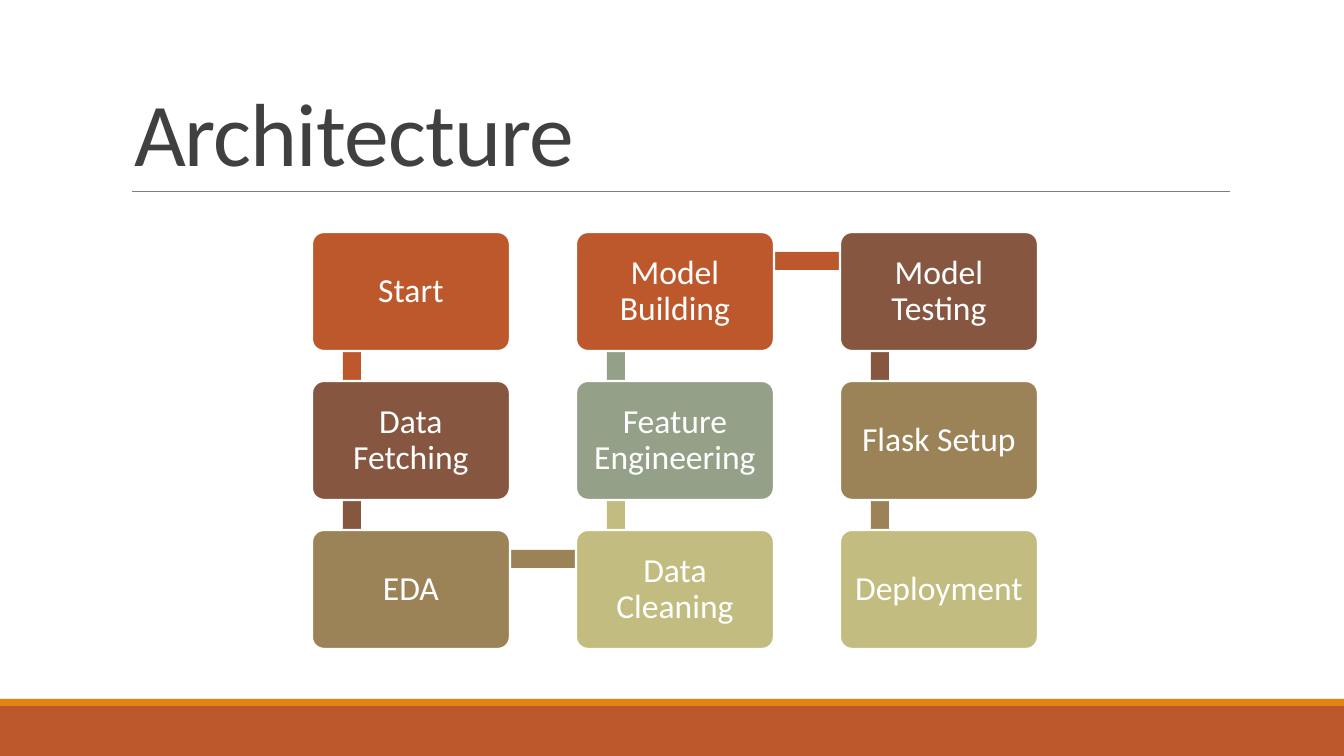
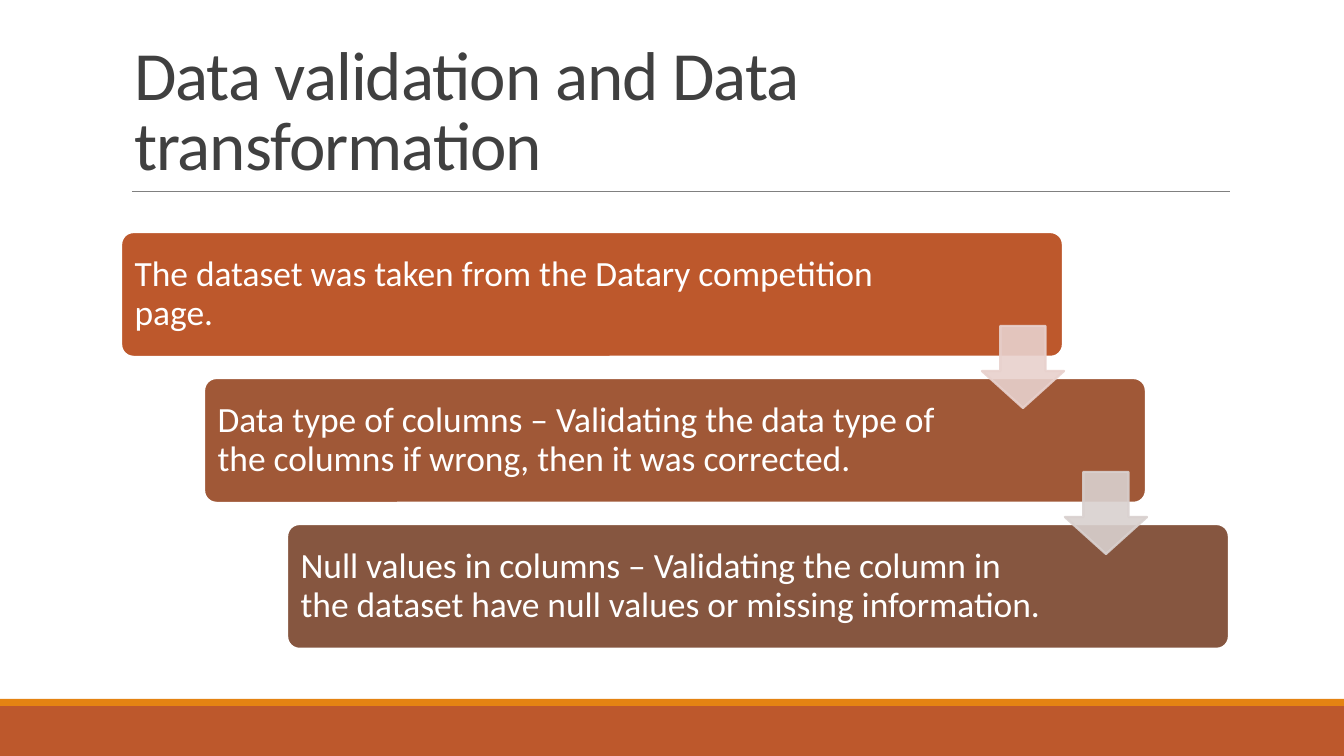
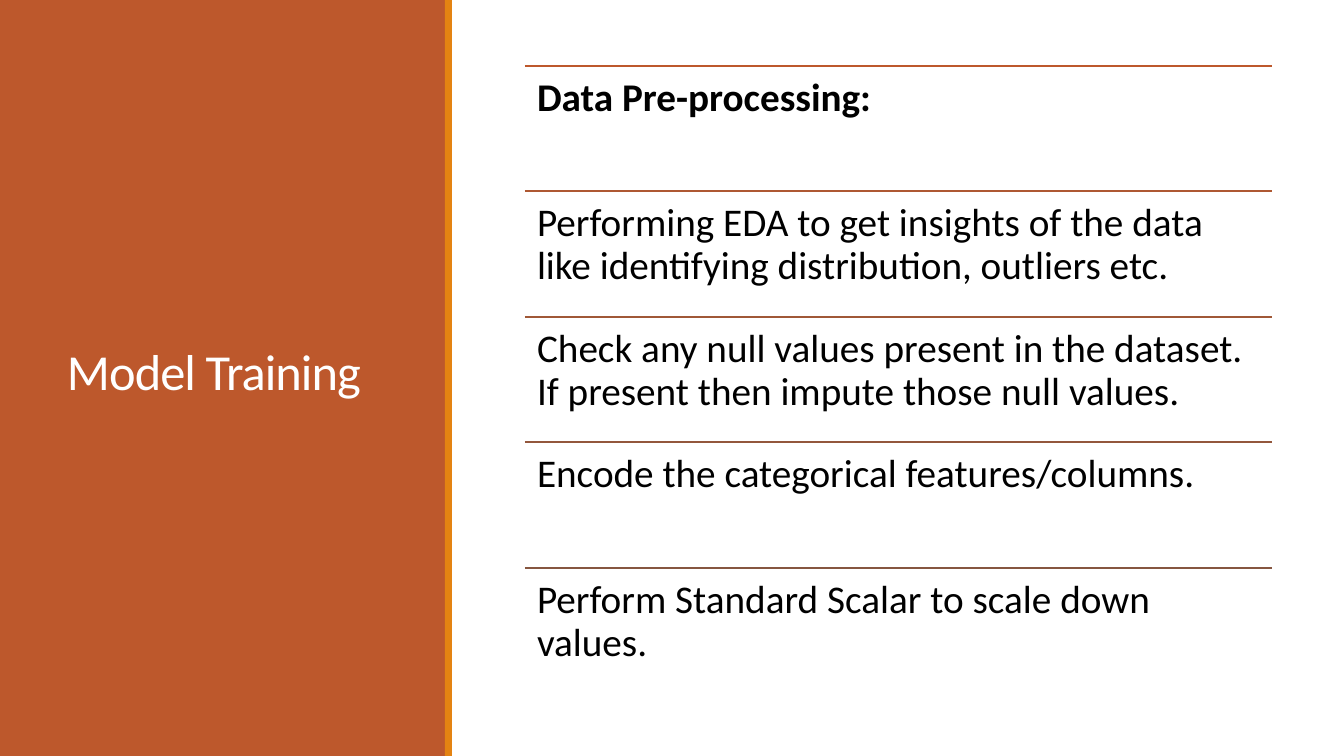
from lxml.etree import SubElement
from pptx import Presentation
from pptx.dml.color import RGBColor
from pptx.enum.shapes import MSO_CONNECTOR, MSO_SHAPE
from pptx.enum.text import MSO_ANCHOR, PP_ALIGN
from pptx.oxml.ns import qn
from pptx.util import Emu, Pt

W, H = 1344, 756
COLORS = {
    "white": "FFFFFF",
    "black": "000000",
    "title": "404040",
    "rule": "808080",
    "amber": "E48312",
    "rust": "BD582C",
    "rust2": "AE5832",
    "sienna": "A05837",
    "umber": "93573C",
    "brown": "865640",
    "khaki": "9B8357",
    "olive": "C2BC80",
    "sage": "94A088",
    "pink": "E8D1CD",
    "grey": "D9D1CF",
}


def px(n):
    return Emu(round(n * 9144000 / W))


def rgb(name):
    return RGBColor.from_string(COLORS[name])


def write_text(tf, text, size=18, color="white", bold=False, align=PP_ALIGN.LEFT,
               anchor=MSO_ANCHOR.MIDDLE, spacing=0.9, insets=(8, 8, 8, 8), track=0):
    tf.word_wrap = True
    tf.vertical_anchor = anchor
    tf.margin_left, tf.margin_top, tf.margin_right, tf.margin_bottom = map(px, insets)
    p = tf.paragraphs[0]
    p.alignment = align
    p.line_spacing = spacing
    r = p.add_run()
    r.text = text
    r.font.name = "Calibri"
    r.font.size = Pt(size)
    r.font.bold = bold
    r.font.color.rgb = rgb(color)
    if track:
        r._r.get_or_add_rPr().set("spc", str(track))


class Deck:
    def __init__(self):
        self.prs = Presentation()
        self.prs.slide_width, self.prs.slide_height = px(W), px(H)
        self.s = None

    def slide(self):
        self.s = self.prs.slides.add_slide(self.prs.slide_layouts[6])

    def shape(self, kind, x, y, w, h, fill, line=None, adjust=(), alpha=None):
        sp = self.s.shapes.add_shape(kind, px(x), px(y), px(w), px(h))
        sp.shadow.inherit = False
        sp.fill.solid()
        sp.fill.fore_color.rgb = rgb(fill)
        if line:
            sp.line.color.rgb = rgb(line)
            sp.line.width = Pt(1.25)
        else:
            sp.line.fill.background()
        for i, value in enumerate(adjust):
            sp.adjustments[i] = value
        if alpha:
            for clr in sp._element.spPr.iter(qn("a:srgbClr")):
                SubElement(clr, qn("a:alpha")).set("val", str(alpha * 1000))
        return sp

    def rect(self, x, y, w, h, fill):
        self.shape(MSO_SHAPE.RECTANGLE, x, y, w, h, fill)

    def card(self, x, y, w, h, fill, text, **fmt):
        sp = self.shape(MSO_SHAPE.ROUNDED_RECTANGLE, x, y, w, h, fill, "white", (0.1,))
        write_text(sp.text_frame, text, **fmt)

    def arrow(self, x, y, size, color):
        self.shape(MSO_SHAPE.DOWN_ARROW, x, y, size, size, color, color, (0.55, 0.45), 90)

    def rule(self, x, y, w, color, width=1.25):
        c = self.s.shapes.add_connector(MSO_CONNECTOR.STRAIGHT, px(x), px(y), px(x + w), px(y))
        c.line.color.rgb = rgb(color)
        c.line.width = Pt(width)
        SubElement(c._element.spPr, qn("a:effectLst"))

    def text(self, x, y, w, h, text, **fmt):
        tb = self.s.shapes.add_textbox(px(x), px(y), px(w), px(h))
        write_text(tb.text_frame, text, **fmt)

    def title(self, x, y, w, h, text, **fmt):
        self.text(x, y, w, h, text, spacing=0.85, track=-50, insets=(13, 7, 13, 7), **fmt)

    def content_slide(self, title, size):
        self.slide()
        self.rect(0, 706, W, 50, "rust")
        self.rect(0, 699, W, 7, "amber")
        self.rule(132, 192, 1098, "rule", 0.5)
        self.title(121, 32, 1109, 160, title, size=size, color="title", anchor=MSO_ANCHOR.BOTTOM)


def architecture(deck):
    deck.content_slide("Architecture", 48)
    steps = [
        ("Start", "rust", 0, 0),
        ("Data Fetching", "brown", 0, 1),
        ("EDA", "khaki", 0, 2),
        ("Data Cleaning", "olive", 1, 2),
        ("Feature Engineering", "sage", 1, 1),
        ("Model Building", "rust", 1, 0),
        ("Model Testing", "brown", 2, 0),
        ("Flask Setup", "khaki", 2, 1),
        ("Deployment", "olive", 2, 2),
    ]
    spots = [(312 + 264 * col, 232 + 149 * row) for _, _, col, row in steps]
    for i, (name, color, _, _) in enumerate(steps):
        x, y = spots[i]
        if i + 1 < len(steps):
            next_x, next_y = spots[i + 1]
            w = max(abs(next_x - x), 18)
            h = max(abs(next_y - y), 18)
            deck.rect((x + next_x - w) // 2 + 40, (y + next_y - h) // 2 + 29, w, h, color)
        deck.card(x, y, 198, 119, color, name, align=PP_ALIGN.CENTER)


def validation(deck):
    deck.content_slide("Data validation and Data transformation", 37)
    checks = [
        ("The dataset was taken from the Datary competition page.", "rust"),
        ("Data type of columns – Validating the data type of the columns if wrong, "
         "then it was corrected.", "sienna"),
        ("Null values in columns – Validating the column in the dataset have null values "
         "or missing information.", "brown"),
    ]
    for i, (check, color) in enumerate(checks):
        deck.card(121 + 83 * i, 232 + 146 * i, 942, 125, color, check,
                  size=19, insets=(10, 10, 182, 10))
    for i, color in enumerate(("pink", "grey")):
        deck.arrow(982 + 83 * i, 326 + 146 * i, 82, color)


def training(deck):
    deck.slide()
    deck.rect(0, 0, 446, H, "rust")
    deck.title(54, 57, 340, 636, "Model Training", size=27)
    deck.rect(445, 0, 7, H, "amber")
    rows = [
        ("Data Pre-processing:", "rust"),
        ("Performing EDA to get insights of the data like identifying distribution, "
         "outliers etc.", "rust2"),
        ("Check any null values present in the dataset. If present then impute those "
         "null values.", "sienna"),
        ("Encode the categorical features/columns.", "umber"),
        ("Perform Standard Scalar to scale down values.", "brown"),
    ]
    for i, (row, color) in enumerate(rows):
        y = 66 + 251 * i // 2
        deck.rule(525, y, 747, color)
        deck.text(525, y, 747, 125, row, size=21, color="black", bold=i == 0,
                  anchor=MSO_ANCHOR.TOP, insets=(12, 12, 12, 12))


def main():
    deck = Deck()
    architecture(deck)
    validation(deck)
    training(deck)
    deck.prs.save("out.pptx")


if __name__ == "__main__":
    main()
